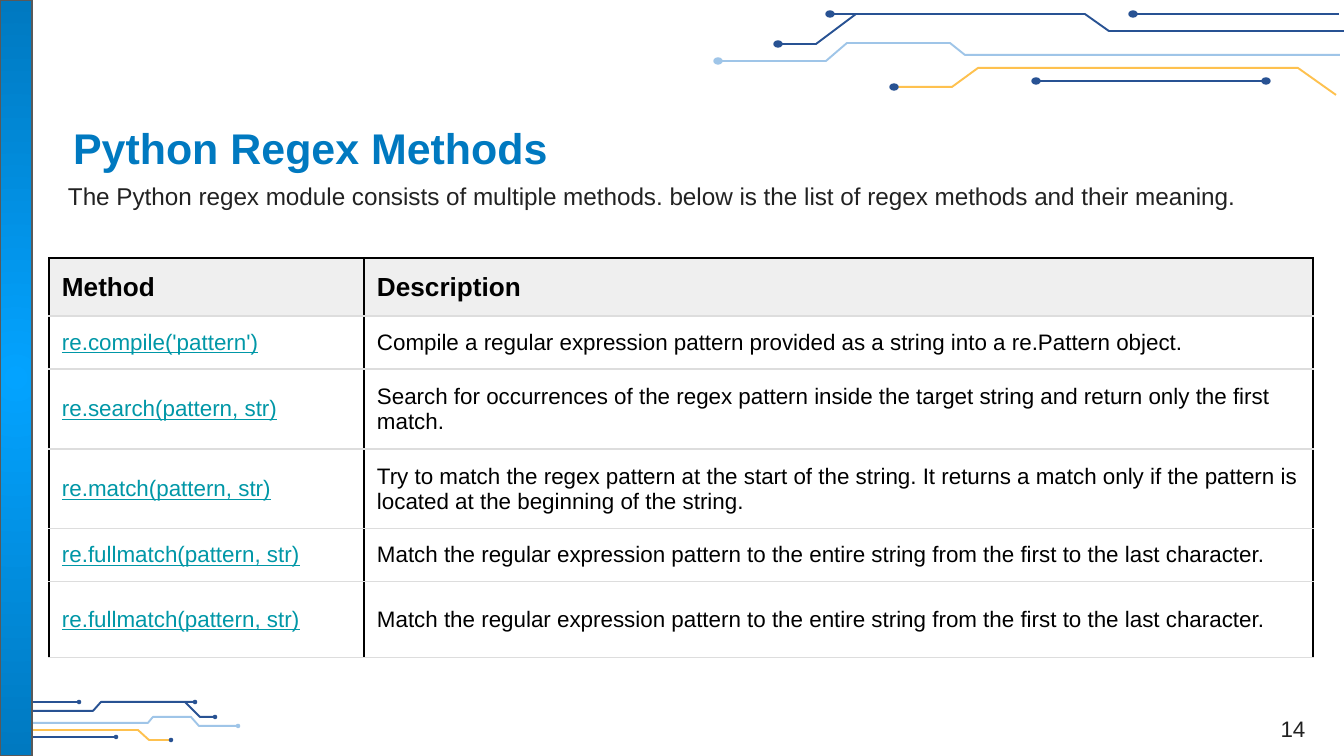
from lxml.etree import SubElement
from pptx import Presentation
from pptx.dml.color import RGBColor
from pptx.enum.shapes import MSO_CONNECTOR, MSO_SHAPE
from pptx.enum.text import MSO_ANCHOR, PP_ALIGN
from pptx.oxml import parse_xml
from pptx.oxml.ns import nsdecls, qn
from pptx.util import Emu, Pt

SCALE = 9144000 / 1344
HUES = {
    "navy": "285293", "sky": "9FC5E8", "amber": "FEC14F",
    "blue": "0079C0", "bright": "03A3FF", "edge": "595959",
    "text": "222222", "black": "000000", "teal": "0097A7",
    "head": "EFEFEF", "rule": "DDDDDD",
}
HUES = {name: RGBColor.from_string(code) for name, code in HUES.items()}


def px(*nums):
    return [Emu(round(n * SCALE)) for n in nums]


def write(frame, text, size, hue, anchor, pad, bold=False):
    frame.word_wrap = True
    frame.vertical_anchor = anchor
    frame.margin_left, frame.margin_top, frame.margin_right, frame.margin_bottom = px(*pad)
    frame.text = text
    para = frame.paragraphs[0]
    para.font.name = "Arial"
    para.font.size = Pt(size)
    para.font.bold = bold
    para.font.color.rgb = HUES[hue]
    return para


deck = Presentation()
deck.slide_width, deck.slide_height = px(1344, 756)
slide = deck.slides.add_slide(deck.slide_layouts[5])
shapes = slide.shapes

low = [
    ("navy", "navy", [(5, 711), (93, 711), (101, 702), (195, 702)]),
    ("navy", "navy", [(185, 702), (200, 717), (215, 717)]),
    ("navy", "navy", [(0, 702), (79, 702)]),
    ("amber", "navy", [(16, 730), (138, 730), (149, 740), (171, 740)]),
    ("navy", "navy", [(28, 737), (116, 737)]),
    ("sky", "sky", [(11, 723), (148, 723), (153, 717), (191, 717), (199, 726), (238, 726)]),
]
high = [
    ("sky", "sky", [(1340, 55), (965, 55), (950, 43), (847, 43), (826, 61), (718, 61)]),
    ("navy", "navy", [(1344, 31), (1109, 31), (1085, 14), (830, 14)]),
    ("navy", "navy", [(856, 14), (816, 44), (778, 44)]),
    ("navy", "navy", [(1339, 14), (1133, 14)]),
    ("amber", "navy", [(1336, 95), (1298, 68), (978, 68), (952, 87), (894, 87)]),
    ("navy", "navy", [(1266, 81), (1036, 81)]),
]
dots = []
for traces, wide, tall in ((low, 3, 3), (high, 8, 6)):
    for hue, tip, points in traces:
        if len(points) == 2:
            trace = shapes.add_connector(MSO_CONNECTOR.STRAIGHT, *px(*points[0], *points[1]))
            SubElement(trace._element.spPr, qn("a:effectLst"))
        else:
            pen = shapes.build_freeform(*points[0], scale=SCALE)
            pen.add_line_segments(points[1:], close=False)
            trace = pen.convert_to_shape()
            trace.shadow.inherit = False
            trace.fill.background()
        trace.line.color.rgb = HUES[hue]
        trace.line.width = Pt(1.03)
        dots.append((points[-1], tip, wide, tall))
dots.append(((1266, 81), "navy", 8, 6))

for (x, y), hue, wide, tall in dots:
    dot = shapes.add_shape(MSO_SHAPE.OVAL, *px(x - wide / 2, y - tall / 2, wide, tall))
    dot.shadow.inherit = False
    dot.fill.solid()
    dot.fill.fore_color.rgb = HUES[hue]
    dot.line.color.rgb = HUES[hue]
    dot.line.width = Pt(0.75)

bar = shapes.add_shape(MSO_SHAPE.RECTANGLE, *px(0, 0, 32, 756))
bar.shadow.inherit = False
bar.fill.gradient()
for stop, hue, spot in zip(bar.fill.gradient_stops, ("bright", "blue"), (0, 1)):
    stop.color.rgb = HUES[hue]
    stop.position = spot
grad = bar._element.spPr.find(qn("a:gradFill"))
grad.replace(grad.find(qn("a:lin")), parse_xml(
    f'<a:path {nsdecls("a")} path="circle">'
    '<a:fillToRect l="50000" t="50000" r="50000" b="50000"/></a:path>'))
bar.line.color.rgb = HUES["edge"]
bar.line.width = Pt(0.75)

title = shapes.title
title.left, title.top, title.width, title.height = px(63, 108, 1194, 78)
para = write(title.text_frame, "Python Regex Methods", 23, "blue",
             MSO_ANCHOR.MIDDLE, (10, 10, 10, 10), True)
para.alignment = PP_ALIGN.LEFT

intro = shapes.add_textbox(*px(55, 168, 1258, 56))
write(intro.text_frame,
      "The Python regex module consists of multiple methods. "
      "below is the list of regex methods and their meaning.",
      13, "text", MSO_ANCHOR.TOP, (13, 13, 13, 13))

page = shapes.add_textbox(*px(1250, 688, 86, 59))
para = write(page.text_frame, "14", 12, "text", MSO_ANCHOR.BOTTOM, (10, 5, 10, 5))
para.alignment = PP_ALIGN.CENTER

full = ("re.fullmatch(pattern, str)",
        "Match the regular expression pattern to the entire string "
        "from the first to the last character.")
rows = [
    ("Method", "Description"),
    ("re.compile('pattern')",
     "Compile a regular expression pattern provided as a string into a re.Pattern object."),
    ("re.search(pattern, str)",
     "Search for occurrences of the regex pattern inside the target string "
     "and return only the first match."),
    ("re.match(pattern, str)",
     "Try to match the regex pattern at the start of the string. It returns a match "
     "only if the pattern is located at the beginning of the string."),
    full,
    full,
]
highs = px(58, 53, 80, 79, 53, 76)
table = shapes.add_table(len(rows), 2, *px(49, 258, 1264, 399)).table
table.first_row = table.horz_banding = False
for col, wide in zip(table.columns, px(315, 949)):
    col.width = wide

for r, row in enumerate(rows):
    table.rows[r].height = highs[r]
    for c, text in enumerate(row):
        cell = table.cell(r, c)
        top = "rule" if r else "black"
        for side, hue in zip("LRTB", ("black", "black", top, "rule")):
            cell._tc.get_or_add_tcPr().append(parse_xml(
                f'<a:ln{side} {nsdecls("a")} w="9525"><a:solidFill>'
                f'<a:srgbClr val="{HUES[hue]}"/></a:solidFill></a:ln{side}>'))
        if r:
            cell.fill.background()
        else:
            cell.fill.solid()
            cell.fill.fore_color.rgb = HUES["head"]
        link = r > 0 and c == 0
        para = write(cell.text_frame, text, 12 if r else 14,
                     "teal" if link else "black", MSO_ANCHOR.MIDDLE, (0, 0, 0, 0), r == 0)
        para.font.underline = link
        cell.vertical_anchor = MSO_ANCHOR.MIDDLE
        cell.margin_left, cell.margin_top, cell.margin_right, cell.margin_bottom = px(13, 13, 13, 13)

deck.save("out.pptx")
